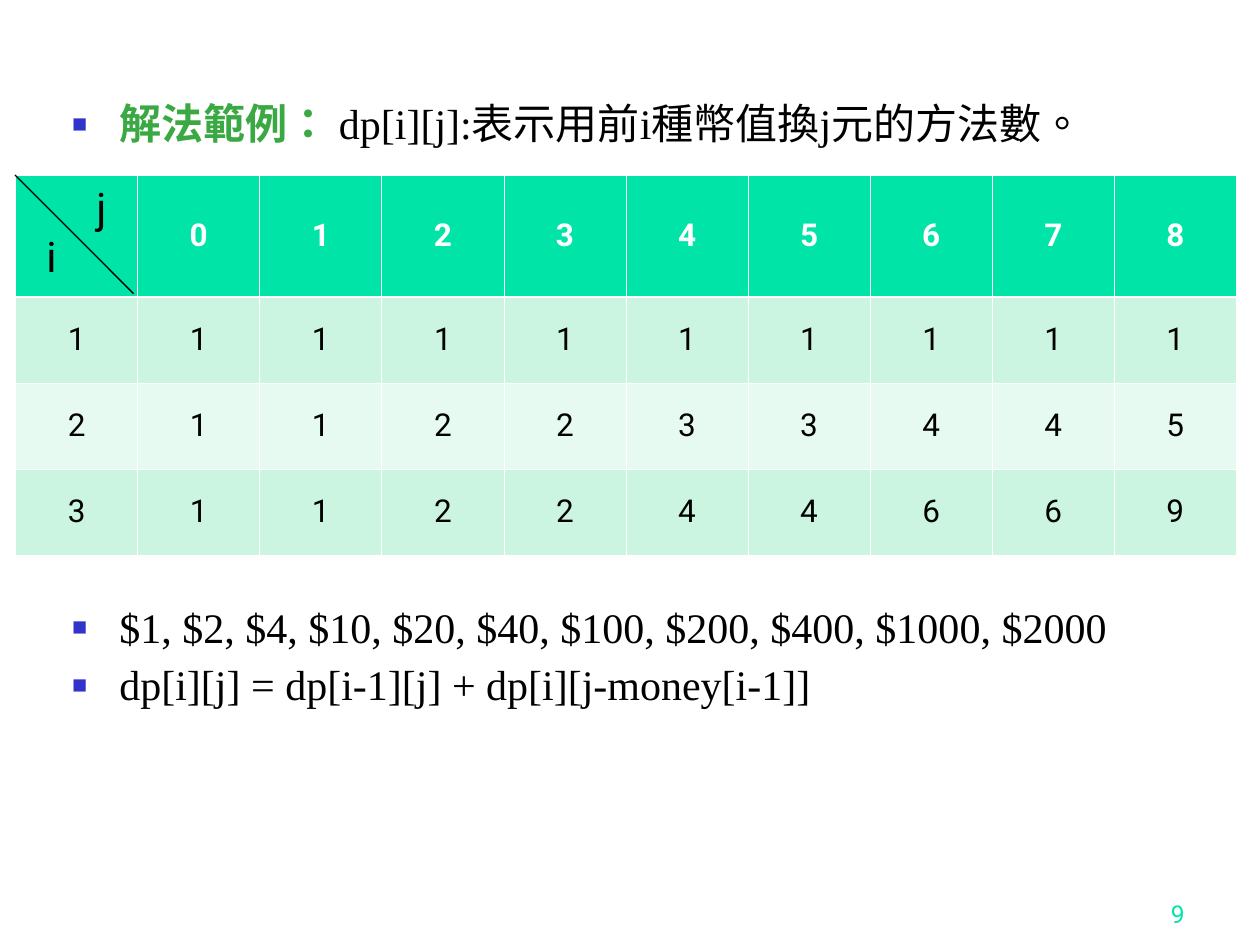
from dataclasses import dataclass

from lxml import etree
from pptx import Presentation
from pptx.dml.color import RGBColor
from pptx.enum.lang import MSO_LANGUAGE_ID
from pptx.enum.shapes import MSO_CONNECTOR
from pptx.enum.text import MSO_ANCHOR, MSO_AUTO_SIZE, PP_ALIGN
from pptx.oxml.ns import qn
from pptx.util import Pt

LEFT, MID, RIGHT = PP_ALIGN.LEFT, PP_ALIGN.CENTER, PP_ALIGN.RIGHT
TOP, CENTER, BASE = MSO_ANCHOR.TOP, MSO_ANCHOR.MIDDLE, MSO_ANCHOR.BOTTOM
NO_FIT = MSO_AUTO_SIZE.NONE
STRAIGHT = MSO_CONNECTOR.STRAIGHT
CHINESE = MSO_LANGUAGE_ID.TRADITIONAL_CHINESE

COLORS = {
    "head": "00E4A8",
    "odd": "CBF5E1",
    "even": "E7FAF1",
    "label": "3BA943",
    "bullet": "3333CC",
    "text": "000000",
    "white": "FFFFFF",
}
SANS, SERIF = "Roboto", "Times New Roman"


@dataclass
class Piece:
    text: str
    color: str = "text"
    bold: bool = False


@dataclass
class Point:
    pieces: list[Piece]
    before: float


@dataclass
class Label:
    text: str
    box: tuple[float, float, float, float]
    size: float
    color: str = "text"
    align: PP_ALIGN = LEFT
    anchor: MSO_ANCHOR = TOP


# Content
POINTS = [
    Point([Piece("解法範例： ", "label", True),
           Piece("dp[i][j]:表示用前i種幣值換j元的方法數。")], 0),
    Point([Piece("$1, $2, $4, $10, $20, $40, $100, $200, $400, $1000, $2000")], 262),
    Point([Piece("dp[i][j] = dp[i-1][j] + dp[i][j-money[i-1]]")], 7),
]
GRID = [
    ["", *range(9)],
    [1, 1, 1, 1, 1, 1, 1, 1, 1, 1],
    [2, 1, 1, 2, 2, 3, 3, 4, 4, 5],
    [3, 1, 1, 2, 2, 4, 4, 6, 6, 9],
]
LABELS = [
    Label("9", (534, 498, 150, 36), 14, "head", RIGHT, BASE),
    Label("i", (19.4, 128, 28, 36), 24),
    Label("j", (48, 100, 22, 36), 24),
]
TABLE_X, TABLE_Y = 8.9, 100
COL_W, HEAD_H, ROW_H = 69.77, 69.6, 49.2


def rgb(name: str) -> RGBColor:
    return RGBColor.from_string(COLORS[name])


def assign(item, values: dict) -> None:
    for name, value in values.items():
        setattr(item, name, value)


def add_run(para, text: str, color: str, **values) -> None:
    run = para.add_run()
    run.text = text
    assign(run.font, values)
    run.font.color.rgb = rgb(color)


def add_child(parent, tag: str, **values):
    return etree.SubElement(parent, qn(tag), values)


def add_bullet(para) -> None:
    props = para._p.get_or_add_pPr()
    props.set("marL", str(Pt(27)))
    props.set("indent", str(Pt(-27)))
    add_child(add_child(props, "a:buClr"), "a:srgbClr", val=COLORS["bullet"])
    add_child(props, "a:buSzPct", val="60000")
    add_child(props, "a:buFont", typeface="Arial")
    add_child(props, "a:buChar", char="■")


def fill_body(body, points: list[Point]) -> None:
    assign(body, {"left": Pt(34), "top": Pt(55.4),
                  "width": Pt(636), "height": Pt(443)})
    frame = body.text_frame
    assign(frame, {"auto_size": NO_FIT, "vertical_anchor": TOP, "word_wrap": True})
    for num, point in enumerate(points):
        para = frame.add_paragraph() if num else frame.paragraphs[0]
        add_bullet(para)
        assign(para, {"line_spacing": 0.9, "space_before": Pt(point.before),
                      "alignment": LEFT})
        for piece in point.pieces:
            add_run(para, piece.text, piece.color, name=SERIF, size=Pt(24),
                    bold=piece.bold, language_id=CHINESE)


def add_edge(cell, side: str, width: float) -> None:
    edge = add_child(cell._tc.get_or_add_tcPr(), f"a:ln{side}", w=str(Pt(width)))
    add_child(add_child(edge, "a:solidFill"), "a:srgbClr", val=COLORS["white"])


def draw_cell(cell, row: int, text: str) -> None:
    heavy = {(0, "B"), (1, "T")}
    for side in "LRTB":
        add_edge(cell, side, 1.47 if (row, side) in heavy else 0.45)
    cell.fill.solid()
    cell.fill.fore_color.rgb = rgb("head" if row == 0 else "odd" if row % 2 else "even")
    cell.vertical_anchor = CENTER
    para = cell.text_frame.paragraphs[0]
    para.alignment = MID
    if text:
        add_run(para, text, "text" if row else "white",
                name=SANS, size=Pt(18), bold=row == 0)


def draw_table(shapes, grid: list[list]) -> None:
    rows, cols = len(grid), len(grid[0])
    table = shapes.add_table(rows, cols, Pt(TABLE_X), Pt(TABLE_Y), Pt(cols * COL_W),
                             Pt(HEAD_H + (rows - 1) * ROW_H)).table
    for col in table.columns:
        col.width = Pt(COL_W)
    for row, values in enumerate(grid):
        table.rows[row].height = Pt(ROW_H if row else HEAD_H)
        for col, value in enumerate(values):
            draw_cell(table.cell(row, col), row, str(value))


def draw_line(shapes, start: tuple[float, float], end: tuple[float, float]) -> None:
    line = shapes.add_connector(STRAIGHT, *map(Pt, start + end))
    line.line.color.rgb = rgb("text")
    line.line.width = Pt(0.75)
    add_child(line._element.spPr, "a:effectLst")


def draw_label(shapes, label: Label) -> None:
    frame = shapes.add_textbox(*map(Pt, label.box)).text_frame
    assign(frame, {"word_wrap": True, "vertical_anchor": label.anchor})
    para = frame.paragraphs[0]
    para.alignment = label.align
    add_run(para, label.text, label.color, name=SANS, size=Pt(label.size))


def main() -> None:
    deck = Presentation()
    assign(deck, {"slide_width": Pt(720), "slide_height": Pt(540)})
    slide = deck.slides.add_slide(deck.slide_layouts[1])
    shapes = slide.shapes

    # The slide has no title
    title = shapes.title._element
    title.getparent().remove(title)

    # Bullets, then the table with its split corner
    fill_body(slide.placeholders[1], POINTS)
    draw_table(shapes, GRID)
    draw_line(shapes, (76.3, 167.8), (8.6, 100))

    # Corner letters and page number
    for label in LABELS:
        draw_label(shapes, label)
    deck.save("out.pptx")


if __name__ == "__main__":
    main()
